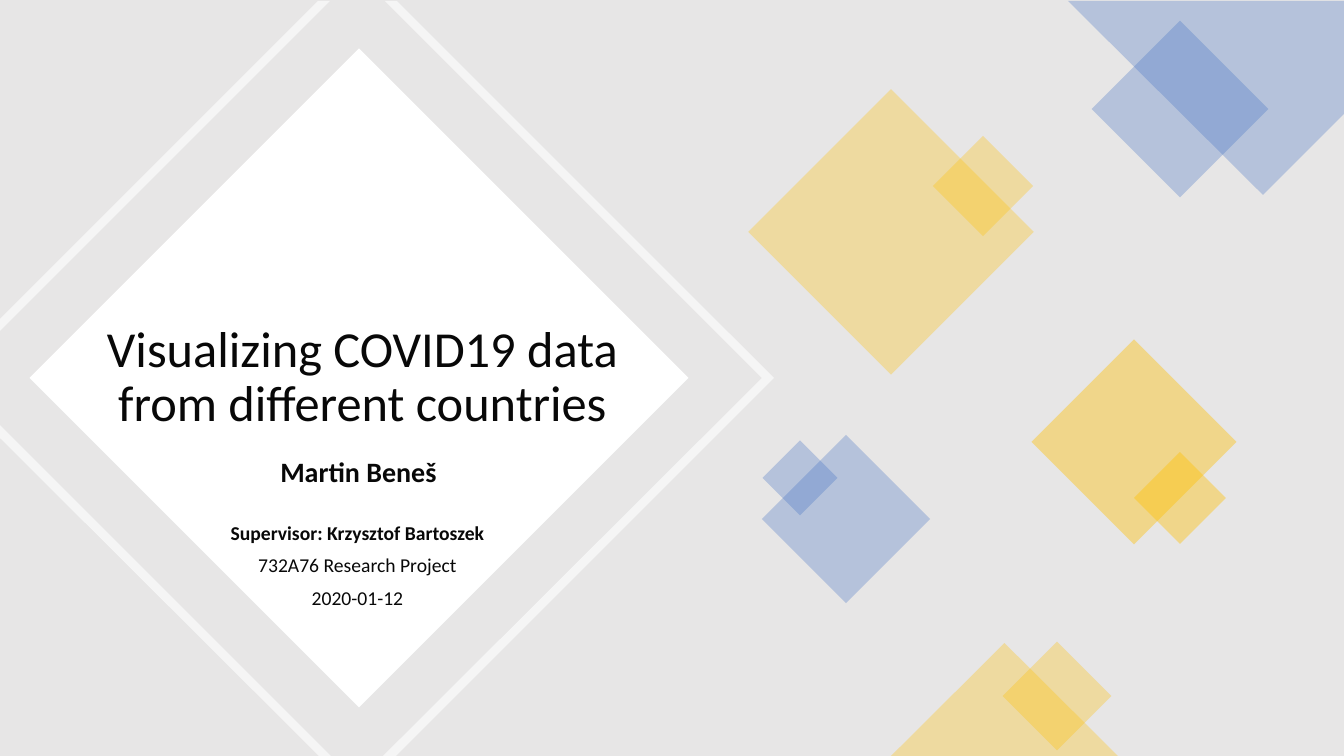
"""Build the title slide about visualizing COVID19 data."""
from dataclasses import dataclass

from lxml.etree import SubElement
from pptx import Presentation
from pptx.dml.color import RGBColor
from pptx.enum.shapes import MSO_SHAPE as Preset
from pptx.enum.text import MSO_ANCHOR as Anchor, MSO_AUTO_SIZE as AutoSize, PP_ALIGN as Align
from pptx.oxml.ns import qn
from pptx.util import Emu, Pt

SCALE = 12192000 / 1344


@dataclass(frozen=True)
class Theme:
    """Colours, font and type sizes of the slide."""
    backdrop: str = "E7E6E6"
    white: str = "FFFFFF"
    gold: str = "FFC000"
    blue: str = "4472C4"
    ink: str = "080808"
    font: str = "Calibri"
    title: int = 36
    author: int = 20
    detail: int = 14


def px(length):
    """Turn px into EMU."""
    return Emu(round(length * SCALE))


def assign(target, values):
    """Set each attribute named in values."""
    for name, value in values.items():
        setattr(target, name, value)


class SlideBuilder:
    """Draw styled elements on one slide."""

    def __init__(self, slide, theme):
        """Keep the slide and its theme."""
        self.slide = slide
        self.theme = theme

    def paint(self, shape, color, opacity):
        """Give a shape a flat fill without line or shadow."""
        shape.shadow.inherit = False
        shape.line.fill.background()
        shape.fill.solid()
        shape.fill.fore_color.rgb = RGBColor.from_string(color)
        if opacity < 100:
            fill_color = shape._element.spPr.find(".//" + qn("a:srgbClr"))
            SubElement(fill_color, qn("a:alpha"), val=str(opacity * 1000))

    def preset(self, kind, box, color, opacity=100, rotation=0):
        """Add a preset shape in a left, top, width, height box."""
        shape = self.slide.shapes.add_shape(kind, *map(px, box))
        shape.rotation = rotation
        self.paint(shape, color, opacity)

    def diamond(self, center_x, center_y, side, color, opacity=100):
        """Add a square turned by 45 degrees about its centre."""
        box = (center_x - side / 2, center_y - side / 2, side, side)
        self.preset(Preset.RECTANGLE, box, color, opacity, 45)

    def outline(self, contours, color, opacity):
        """Add one freeform made of closed contours."""
        first, *others = contours
        builder = self.slide.shapes.build_freeform(*first[0], scale=SCALE)
        builder.add_line_segments(first[1:], close=True)
        for contour in others:
            builder.move_to(*contour[0])
            builder.add_line_segments(contour[1:], close=True)
        self.paint(builder.convert_to_shape(), color, opacity)

    def set_lines(self, shape, lines, size, spacing, before, anchor=Anchor.TOP):
        """Fill a shape with centred lines of (text, bold)."""
        frame = shape.text_frame
        assign(frame, {"word_wrap": True, "auto_size": AutoSize.NONE,
                       "vertical_anchor": anchor})
        for index, (text, bold) in enumerate(lines):
            paragraph = frame.add_paragraph() if index else frame.paragraphs[0]
            assign(paragraph, {"alignment": Align.CENTER, "line_spacing": spacing,
                               "space_before": Pt(before)})
            run = paragraph.add_run()
            run.text = text
            assign(run.font, {"name": self.theme.font, "size": Pt(size), "bold": bold})
            run.font.color.rgb = RGBColor.from_string(self.theme.ink)

    def title(self, box, text):
        """Place the title placeholder above the shapes drawn so far."""
        shape = self.slide.shapes.title
        self.slide.shapes._spTree.append(shape._element)
        assign(shape, dict(zip(("left", "top", "width", "height"), map(px, box))))
        self.set_lines(shape, [(text, False)], self.theme.title, 0.9, 0, Anchor.MIDDLE)

    def text(self, box, lines, size, spacing):
        """Add a text box."""
        shape = self.slide.shapes.add_textbox(*map(px, box))
        self.set_lines(shape, lines, size, spacing, 10)


def main():
    """Build and save the slide."""
    presentation = Presentation()
    assign(presentation, {"slide_width": px(1344), "slide_height": px(756)})
    theme = Theme()
    builder = SlideBuilder(presentation.slides.add_slide(presentation.slide_layouts[5]), theme)

    builder.preset(Preset.RECTANGLE, (0, 0, 1344, 756), theme.backdrop)
    builder.diamond(359, 378, 466, theme.white)
    frame_bands = [
        [(0, 425), (331, 756), (319, 756), (0, 438)],
        [(385, 1), (397, 1), (774, 378), (396, 756), (383, 756), (762, 378)],
        [(318, 1), (330, 1), (0, 331), (0, 319)],
    ]
    builder.outline(frame_bands, theme.white, 60)
    builder.title((94, 270, 537, 216), "Visualizing COVID19 data from different countries")
    builder.text((224, 453, 269, 101), [("Martin Beneš", True)], theme.author, 0.9)

    builder.outline([[(1068, 1), (1344, 1), (1344, 114), (1263, 195)]], theme.blue, 30)
    for center_x, center_y, side, color, opacity in (
        (891, 232, 202, theme.gold, 30),
        (983, 186, 71, theme.gold, 30),
        (1180, 109, 125, theme.blue, 30),
        (846, 519, 119, theme.blue, 30),
        (800, 478, 53, theme.blue, 30),
        (1134, 442, 145, theme.gold, 40),
        (1180, 498, 65, theme.gold, 40),
        (1057, 696, 77, theme.gold, 30),
    ):
        builder.diamond(center_x, center_y, side, color, opacity)
    builder.preset(Preset.ISOSCELES_TRIANGLE, (891, 643, 227, 113), theme.gold, 30)

    details = [
        ("Supervisor: Krzysztof Bartoszek", True),
        ("732A76 Research Project", False),
        ("2020-01-12", False),
    ]
    builder.text((155, 520, 405, 101), details, theme.detail, 0.8)
    presentation.save("out.pptx")


if __name__ == "__main__":
    main()
